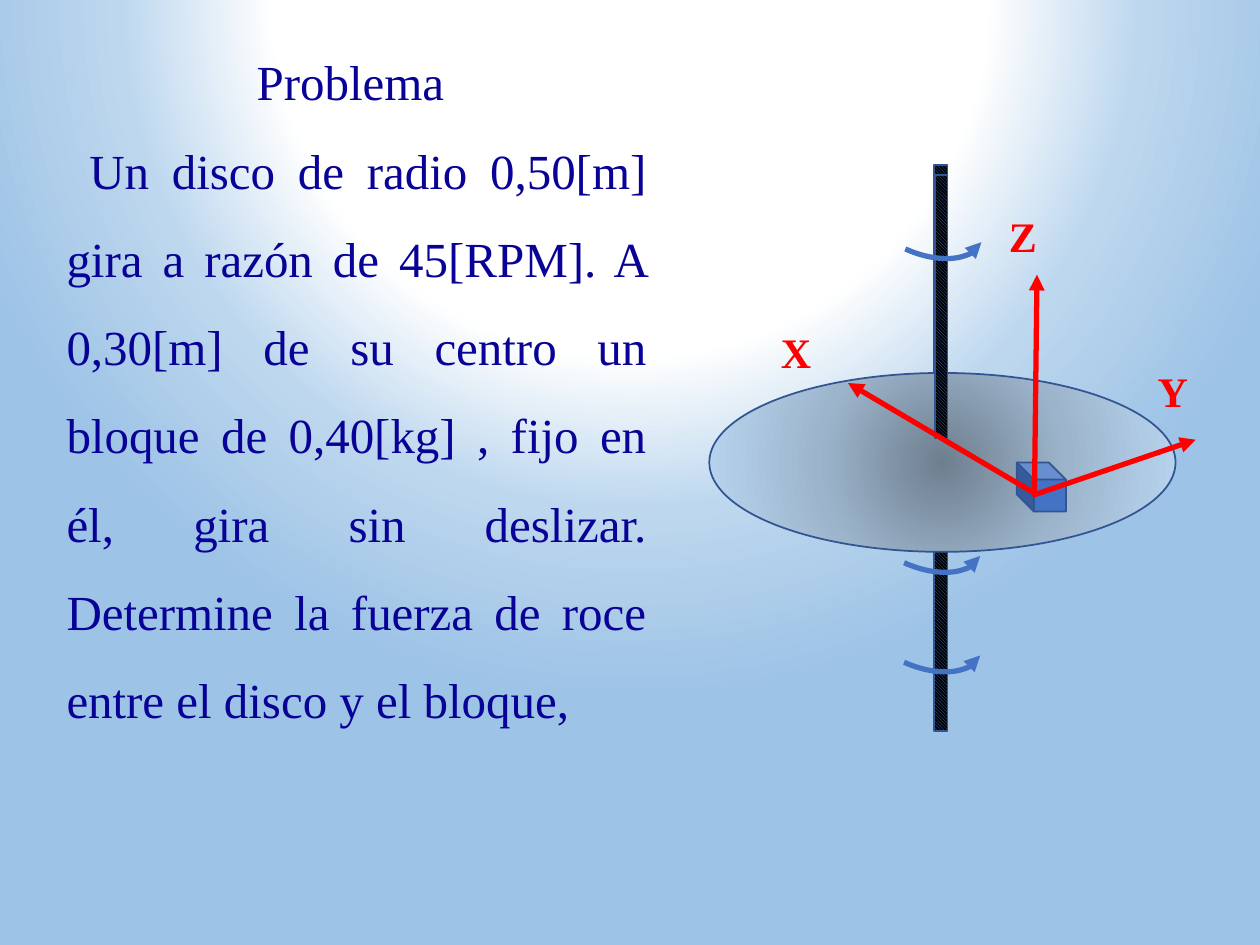
from lxml.etree import SubElement
from pptx import Presentation
from pptx.dml.color import RGBColor
from pptx.enum.dml import MSO_PATTERN
from pptx.enum.shapes import MSO_CONNECTOR, MSO_SHAPE
from pptx.enum.text import MSO_AUTO_SIZE, PP_ALIGN
from pptx.oxml.ns import qn
from pptx.util import Inches, Pt

NAVY = RGBColor(0x09, 0x02, 0x96)
RED = RGBColor(0xFF, 0x00, 0x00)
BLUE = RGBColor(0x44, 0x72, 0xC4)
EDGE = RGBColor(0x32, 0x54, 0x91)
BLACK = RGBColor(0x00, 0x00, 0x00)
SKY = [(45, RGBColor(0xFF, 0xFF, 0xFF)), (65, RGBColor(0xBD, 0xD7, 0xEE)),
       (89, RGBColor(0x9D, 0xC3, 0xE6))]
STEEL = [(0, RGBColor(0x6E, 0x7F, 0x8F)), (50, RGBColor(0x9D, 0xB5, 0xCC)),
         (100, RGBColor(0xBA, 0xD7, 0xF2))]
FONT = "Times New Roman"

PROBLEM = (
    "Problema \n"
    " Un disco de radio 0,50[m] gira a razón de 45[RPM]. "
    "A 0,30[m] de su centro un bloque de 0,40[kg] , fijo en él, "
    "gira sin deslizar. Determine la fuerza de roce entre el disco "
    "y el bloque,"
)


def set_glow(holder, stops, top, base):
    """Turn the solid fill of an element into a circular gradient."""
    solid = holder.find(qn("a:solidFill"))
    grad = holder.makeelement(qn("a:gradFill"), {"rotWithShape": "1"})
    holder.replace(solid, grad)
    rows = SubElement(grad, qn("a:gsLst"))
    for pos, color in stops:
        stop = SubElement(rows, qn("a:gs"), pos=str(pos * 1000))
        SubElement(stop, qn("a:srgbClr"), val=str(color))
    route = SubElement(grad, qn("a:path"), {"path": "circle"})
    SubElement(route, qn("a:fillToRect"), l="50000", t=str(top * 1000),
               r="50000", b=str(base * 1000))


def set_line(line, color, width, tip=None):
    line.color.rgb = color
    line.width = Pt(width)
    if tip:
        SubElement(line._get_or_add_ln(), qn(tip), type="triangle")


def add_shape(slide, kind, box, color=EDGE, width=1, tip=None):
    shape = slide.shapes.add_shape(kind, *map(Inches, box))
    shape.shadow.inherit = False
    set_line(shape.line, color, width, tip)
    return shape


def add_rod(slide, box):
    fill = add_shape(slide, MSO_SHAPE.RECTANGLE, box).fill
    fill.patterned()
    fill.pattern = MSO_PATTERN.DARK_DOWNWARD_DIAGONAL
    fill.fore_color.rgb = BLUE
    fill.back_color.rgb = BLACK


def add_disc(slide, box):
    disc = add_shape(slide, MSO_SHAPE.OVAL, box)
    disc.fill.solid()
    set_glow(disc.element.spPr, STEEL, 50, 50)


def add_block(slide, box):
    block = add_shape(slide, MSO_SHAPE.CUBE, box)
    block.adjustments[0] = 0.35
    block.fill.solid()
    block.fill.fore_color.rgb = BLUE
    block.element.spPr.find(qn("a:xfrm")).set("flipH", "1")


def add_spin(slide, left, top):
    arc = add_shape(slide, MSO_SHAPE.ARC, (left, top, 0.63, 1.1),
                    BLUE, 3, "a:headEnd")
    arc.adjustments[0] = 162
    arc.adjustments[1] = 212.49
    arc.rotation = 116.2
    arc.fill.background()


def add_line(slide, ends, color, width, tip=None):
    line = slide.shapes.add_connector(MSO_CONNECTOR.STRAIGHT,
                                      *map(Inches, ends))
    set_line(line.line, color, width, tip)
    SubElement(line.element.spPr, qn("a:effectLst"))


def add_text(slide, box, text, size, color, bold=False):
    frame = slide.shapes.add_textbox(*map(Inches, box)).text_frame
    frame.word_wrap = True
    frame.auto_size = MSO_AUTO_SIZE.SHAPE_TO_FIT_TEXT
    frame.text = text
    for para in frame.paragraphs:
        for run in para.runs:
            run.font.name = FONT
            run.font.size = Pt(size)
            run.font.bold = bold
            run.font.color.rgb = color
    return frame


def main():
    deck = Presentation()
    deck.slide_width, deck.slide_height = Inches(10), Inches(7.5)
    slide = deck.slides.add_slide(deck.slide_layouts[6])

    # Background
    slide.background.fill.solid()
    set_glow(slide.element.find(".//" + qn("p:bgPr")), SKY, -80, 180)

    # Problem statement
    frame = add_text(slide, (0.43, 0.13, 4.8, 5.67), PROBLEM, 28, NAVY)
    for para, align in zip(frame.paragraphs,
                           (PP_ALIGN.CENTER, PP_ALIGN.JUSTIFY)):
        para.alignment = align
        para.line_spacing = 1.5

    # Axle, disc and block
    add_rod(slide, (7.41, 1.31, 0.11, 4.49))
    add_disc(slide, (5.63, 2.96, 3.7, 1.42))
    add_rod(slide, (7.42, 1.39, 0.1, 2.09))
    add_block(slide, (8.07, 3.67, 0.39, 0.39))
    add_line(slide, (7.47, 3.48, 8.22, 3.91), NAVY, 1)

    # Sense of rotation
    for left, top in ((6.98, 1.13), (6.97, 3.62), (6.97, 4.41)):
        add_spin(slide, left, top)

    # Axes: arrow ends, then label place
    axes = {
        "Y": ((8.2, 3.93, 9.49, 3.49), (9.09, 2.85)),
        "X": ((8.22, 3.92, 6.73, 3.04), (6.1, 2.54)),
        "Z": ((8.21, 3.94, 8.23, 2.18), (7.91, 1.62)),
    }
    for name, (ends, place) in axes.items():
        add_line(slide, ends, RED, 3, "a:tailEnd")
        add_text(slide, (*place, 0.56, 0.5), name, 24, RED, True)

    deck.save("out.pptx")


if __name__ == "__main__":
    main()
